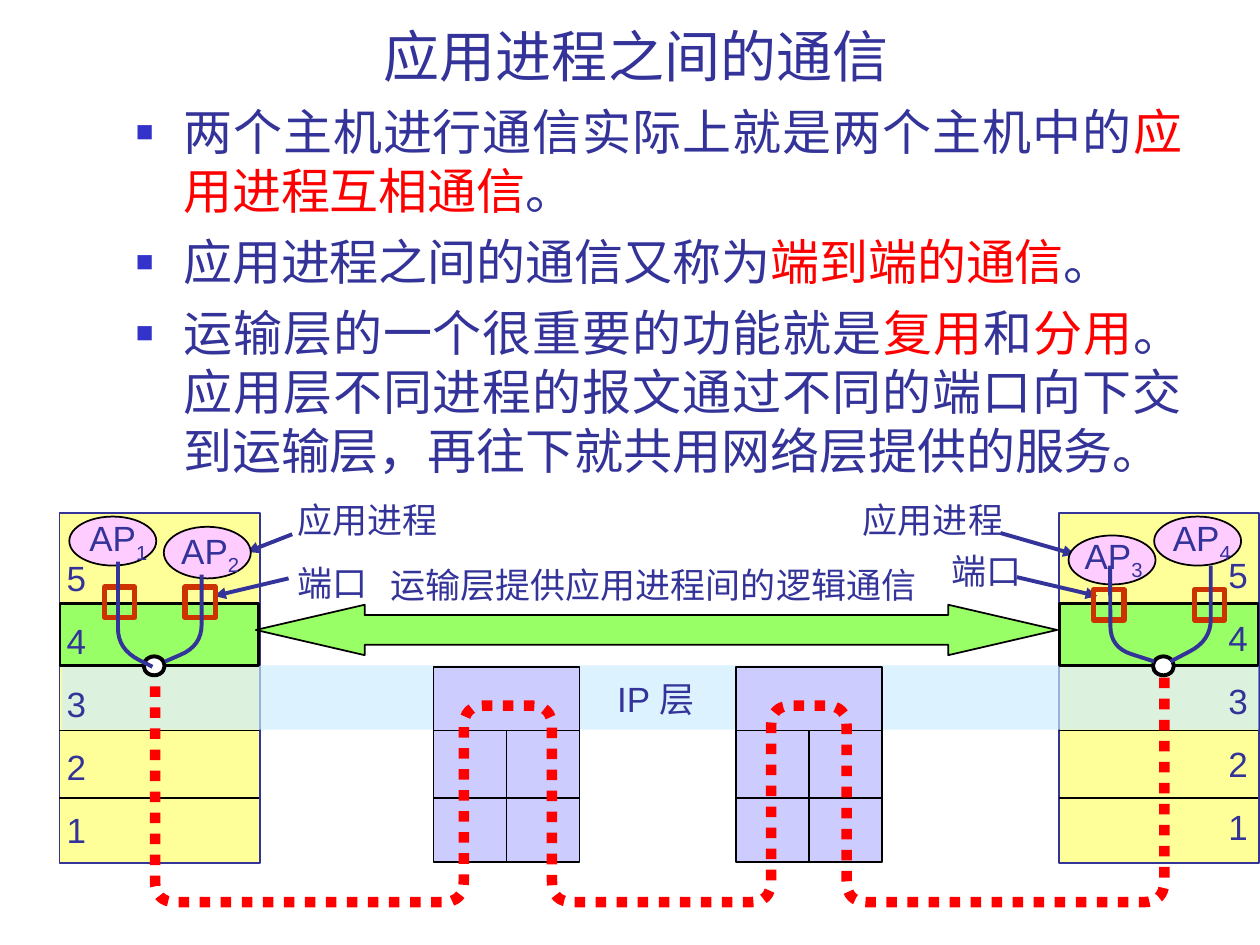
import pptx
import pptx.util
import pptx.dml.color
import pptx.enum.dml
import pptx.enum.shapes
import pptx.enum.text
import pptx.oxml
import pptx.oxml.ns

Pt = pptx.util.Pt
RGB = pptx.dml.color.RGBColor
SHAPE = pptx.enum.shapes.MSO_SHAPE
ALIGN = pptx.enum.text.PP_ALIGN
ANCHOR = pptx.enum.text.MSO_ANCHOR
FIT = pptx.enum.text.MSO_AUTO_SIZE

INK = RGB(0x33, 0x33, 0x99)
RED = RGB(0xFF, 0x00, 0x00)
BLACK = RGB(0x00, 0x00, 0x00)
WHITE = RGB(0xFF, 0xFF, 0xFF)
YELLOW = RGB(0xFF, 0xFF, 0x99)
GREEN = RGB(0x99, 0xFF, 0x66)
LILAC = RGB(0xCC, 0xCC, 0xFF)
PINK = RGB(0xFF, 0xCC, 0xFF)
SKY = RGB(0xCC, 0xEC, 0xFF)
RUST = RGB(0xCC, 0x33, 0x00)
BULLET = "3333CC"

TITLE = "应用进程之间的通信"
POINTS = [
    [("两个主机进行通信实际上就是两个主机中的", INK), ("应用进程互相通信", RED), ("。", INK)],
    [("应用进程之间的通信又称为", INK), ("端到端的通信", RED), ("。", INK)],
    [("运输层的一个很重要的功能就是", INK), ("复用", RED), ("和", INK), ("分用", RED),
     ("。应用层不同进程的报文通过不同的端口向下交到运输层，再往下就共用网络层提供的服务。", INK)],
]
LAYERS = ["5", "4", "3", "2", "1"]
HOSTS = [
    {"left": 34, "digits": (31, 302.4)},
    {"left": 605, "digits": (694.8, 301)},
]
ROUTERS = [247.7, 420.5]
LABELS = [
    ("运输层提供应用进程间的逻辑通信", 216, 318.2, 322, True),
    ("应用进程", 162.7, 281.5, 94.3, False),
    ("应用进程", 486, 281.5, 94.3, False),
    ("IP 层", 345.6, 383.8, 63.4, True),
    ("端口", 162.7, 317.5, 54.7, True),
    ("端口", 536.4, 310.3, 54.7, True),
]
POINTERS = [
    ((167, 305.3), (141.1, 315.4)),
    ((571.7, 304.6), (614.2, 316.8)),
    ((581, 329.8), (627.1, 340.6)),
    ((164.9, 330.5), (122.4, 340.6)),
]
PROCESSES = [
    ("1", 39.6, 295.2, 28, 44, 291.6),
    ("2", 93.6, 301, 29.5, 96.5, 298.8),
    ("4", 659.5, 295.2, 28, 663.1, 291.6),
    ("3", 610.6, 306, 28, 612.7, 301.7),
]
PORTS = [(59.8, 335.5), (105.8, 335.5), (625, 337), (682.6, 337)]
JUNCTIONS = [82.1, 658.8]
WIRES = [
    [(67.4, 321), (67.4, 371), (87.1, 381)],
    [(115.2, 328.3), (115.2, 369), (94.3, 378)],
    [(634.3, 323.3), (634.6, 370), (659.5, 378)],
    [(691.9, 323.3), (691.9, 366), (668.9, 378)],
]
HIGH, LOW, ENDS = 403.2, 515.5, 380.2
ROUTE = [(88.6, ENDS), (88.6, LOW), (265, LOW), (265, HIGH), (315.4, HIGH), (315.4, LOW),
         (440.6, LOW), (440.6, HIGH), (483.8, HIGH), (483.8, LOW), (665.3, LOW), (665.3, ENDS)]
DIVIDERS = [417.5, 456]
BEND = 12

deck = pptx.Presentation()
deck.slide_width, deck.slide_height = Pt(720), Pt(540)
slide = deck.slides.add_slide(deck.slide_layouts[6])
shapes = slide.shapes


def add_element(parent, xml):
    ns = pptx.oxml.ns.nsdecls("a")
    tag, rest = xml[:-2].split(" ", 1)
    parent.append(pptx.oxml.parse_xml(f"{tag} {ns} {rest}/>"))


def apply(target, formats):
    for key, value in formats.items():
        setattr(target, key, value)


def paint(shape, fill=None, line=None, weight=1):
    shape.shadow.inherit = False
    if fill is None:
        shape.fill.background()
    else:
        shape.fill.solid()
        shape.fill.fore_color.rgb = fill
    if line is None:
        shape.line.fill.background()
    else:
        shape.line.color.rgb = line
        shape.line.width = Pt(weight)
    return shape


def block(kind, left, top, width, height, *style):
    return paint(shapes.add_shape(kind, Pt(left), Pt(top), Pt(width), Pt(height)), *style)


def segment(start, end, color=BLACK, weight=1):
    straight = pptx.enum.shapes.MSO_CONNECTOR.STRAIGHT
    line = shapes.add_connector(straight, *(Pt(v) for v in (*start, *end)))
    line.line.color.rgb = color
    line.line.width = Pt(weight)
    add_element(line._element.spPr, "<a:effectLst />")
    return line


def rounded(corners):
    track = [corners[0]]
    for before, corner, after in zip(corners, corners[1:], corners[2:]):
        near, far = [tuple(c + (o - c) * BEND / max(abs(p - q) for p, q in zip(other, corner))
                           for c, o in zip(corner, other)) for other in (before, after)]
        for step in range(9):
            t = step / 8
            track.append(tuple((1 - t) ** 2 * a + 2 * t * (1 - t) * b + t * t * c
                               for a, b, c in zip(near, corner, far)))
    return track + [corners[-1]]


def curve(corners, color, weight):
    start, *rest = [(Pt(x), Pt(y)) for x, y in rounded(corners)]
    builder = shapes.build_freeform(*start, scale=1.0)
    builder.add_line_segments(rest, close=False)
    return paint(builder.convert_to_shape(), None, color, weight)


def write(paragraphs, left, top, width, height, size=20, frame_format=None,
          paragraph_format=None, bullet=False, gap=0):
    frame = shapes.add_textbox(Pt(left), Pt(top), Pt(width), Pt(height)).text_frame
    apply(frame, {"word_wrap": True, **(frame_format or {})})
    for index, runs in enumerate(paragraphs):
        paragraph = frame.add_paragraph() if index else frame.paragraphs[0]
        if bullet:
            props = paragraph._p.get_or_add_pPr()
            props.set("marL", str(Pt(27)))
            props.set("indent", str(-Pt(27)))
            props.append(pptx.oxml.parse_xml(
                f'<a:buClr {pptx.oxml.ns.nsdecls("a")}><a:srgbClr val="{BULLET}"/></a:buClr>'))
            add_element(props, '<a:buSzPct val="60000"/>')
            add_element(props, '<a:buFont typeface="Arial"/>')
            add_element(props, '<a:buChar char="■"/>')
        apply(paragraph, paragraph_format or {})
        if index and gap:
            paragraph.space_before = Pt(gap)
        for text, color, *baseline in runs:
            run = paragraph.add_run()
            run.text = text
            apply(run.font, {"name": "Arial", "size": Pt(size)})
            run.font.color.rgb = color
            if baseline:
                run._r.get_or_add_rPr().set("baseline", baseline[0])


GROW = {"auto_size": FIT.SHAPE_TO_FIT_TEXT}
UNWRAPPED = {**GROW, "word_wrap": False}

write([[(TITLE, INK)]], 93.6, 20.2, 540, 33.8, 32,
      {"vertical_anchor": ANCHOR.BOTTOM}, {"alignment": ALIGN.CENTER})
write(POINTS, 70.6, 54.7, 612, 226.8, 28, None, {"alignment": ALIGN.JUSTIFY}, True, 7)

for host in HOSTS:
    block(SHAPE.RECTANGLE, host["left"], 293, 114.5, 200, YELLOW, INK)
ip_band = block(SHAPE.RECTANGLE, 35.3, 380.2, 684, 36.7, SKY)
add_element(ip_band.fill._xPr.find(".//" + pptx.oxml.ns.qn("a:srgbClr")), '<a:alpha val="68000"/>')
for host in HOSTS:
    left = host["left"]
    for y in DIVIDERS:
        segment((left, y), (left + 114, y))
    block(SHAPE.RECTANGLE, left + 0.3, 345, 113.5, 35.3, GREEN, BLACK, 1.5)
    write([[(layer, INK)] for layer in LAYERS], *host["digits"], 25.2, 187.2, 20,
          UNWRAPPED, {"line_spacing": 1.5})

for left in ROUTERS:
    router = block(SHAPE.RECTANGLE, left, 381, 83.5, 111.6, LILAC, BLACK)
    for y in DIVIDERS:
        segment((left, y), (left + 83.5, y))
    middle = left + 41.75
    segment((middle, DIVIDERS[0]), (middle, 492.6)).end_connect(router, 2)

route = curve(ROUTE, RED, 6)
route.line.dash_style = pptx.enum.dml.MSO_LINE.ROUND_DOT

logical_link = block(SHAPE.LEFT_RIGHT_ARROW, 146.2, 345.6, 457.9, 28.8, GREEN, BLACK)
for index, ratio in enumerate((0.59, 2.16)):
    logical_link.adjustments[index] = ratio

for text, left, top, width, wrap in LABELS:
    write([[(text, INK)]], left, top, width, 31, 20, GROW if wrap else UNWRAPPED)
for start, end in POINTERS:
    pointer = segment(start, end, INK, 2.25)
    add_element(pointer.line._get_or_add_ln(), '<a:tailEnd type="triangle"/>')

for x in JUNCTIONS:
    block(SHAPE.OVAL, x, 375.1, 12, 10.8, WHITE, BLACK, 2.25)
for left, top in PORTS:
    block(SHAPE.RECTANGLE, left, top, 17.3, 17.3, None, RUST, 3)
for number, left, top, height, text_left, text_top in PROCESSES:
    block(SHAPE.OVAL, left, top, 49.7, height, PINK, BLACK)
    write([[("AP", INK), (number, INK, "-25000")]], text_left, text_top, 47.5, 34.6, 20, UNWRAPPED)
for wire in WIRES:
    curve(wire, INK, 2.25)

deck.save("out.pptx")
